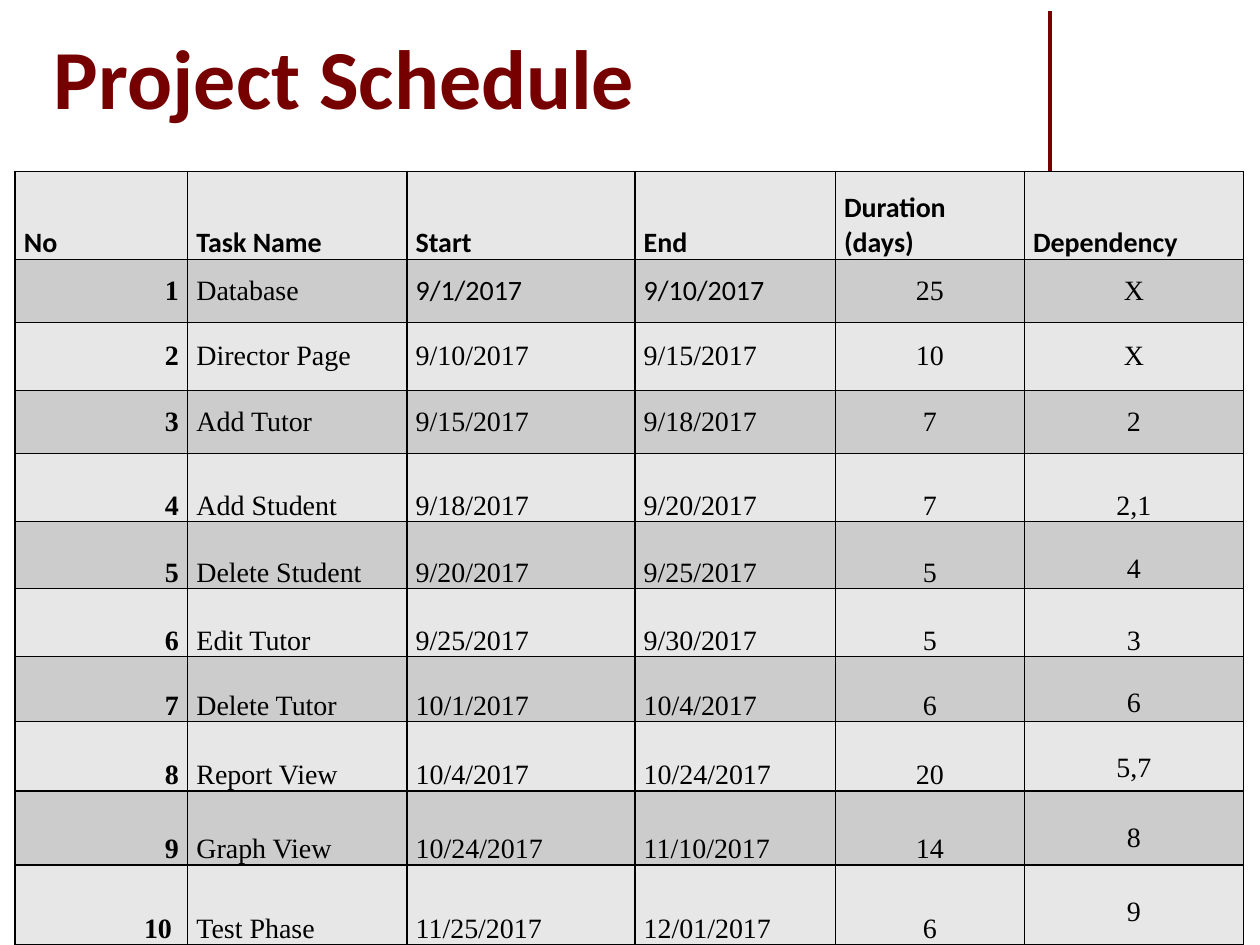
from lxml import etree
from pptx import Presentation
from pptx.dml.color import RGBColor
from pptx.enum.shapes import MSO_CONNECTOR
from pptx.enum.text import MSO_ANCHOR as Anchor, PP_ALIGN as Align
from pptx.oxml import parse_xml
from pptx.oxml.ns import nsdecls, qn
from pptx.util import Inches, Pt

# Content
TITLE = "Project Schedule"
HEADER = ("No", "Task Name", "Start", "End", "Duration (days)", "Dependency")
TASKS = [
    ("1", "Database", "9/1/2017", "9/10/2017", "25", "X"),
    ("2", "Director Page", "9/10/2017", "9/15/2017", "10", "X"),
    ("3", "Add Tutor", "9/15/2017", "9/18/2017", "7", "2"),
    ("4", "Add Student", "9/18/2017", "9/20/2017", "7", "2,1"),
    ("5", "Delete Student", "9/20/2017", "9/25/2017", "5", "4"),
    ("6", "Edit Tutor", "9/25/2017", "9/30/2017", "5", "3"),
    ("7", "Delete Tutor", "10/1/2017", "10/4/2017", "6", "6"),
    ("8", "Report View", "10/4/2017", "10/24/2017", "20", "5,7"),
    ("9", "Graph View", "10/24/2017", "11/10/2017", "14", "8"),
    ("10 ", "Test Phase", "11/25/2017", "12/01/2017", "6", "9"),
]
COLUMN_WIDTHS = (1.37, 1.74, 1.81, 1.59, 1.5, 1.74)
ROW_HEIGHTS = (0.7, 0.5, 0.54, 0.5, 0.54, 0.53, 0.54, 0.51, 0.55, 0.59, 0.63)
ALIGNMENTS = (Align.RIGHT, Align.LEFT, Align.LEFT, Align.LEFT,
              Align.CENTER, Align.CENTER)
MIDDLE_ROWS = (1, 2, 3)
LOWERED_DEPENDENCIES = (5, 7, 8, 9, 10)  # rows set one line below the top
CALIBRI_DATES = {(1, 2), (1, 3)}

MAROON = RGBColor(0x76, 0x00, 0x00)
BLACK = RGBColor(0x00, 0x00, 0x00)
LIGHT = RGBColor(0xE7, 0xE7, 0xE7)
DARK = RGBColor(0xCC, 0xCC, 0xCC)


def set_font(paragraph, name, size, color, bold):
    font = paragraph.font
    font.name, font.size, font.bold = name, Pt(size), bold
    font.color.rgb = color


def add_borders(cell):
    properties = cell._tc.get_or_add_tcPr()
    for index, side in enumerate(("lnL", "lnR", "lnT", "lnB")):
        properties.insert(index, parse_xml(
            f'<a:{side} {nsdecls("a")} w="{Pt(1)}"><a:solidFill>'
            f'<a:srgbClr val="{BLACK}"/></a:solidFill></a:{side}>'))


def style_cell(cell, row, column, text):
    header = row == 0
    cell.margin_left = cell.margin_right = Inches(0.07)
    cell.margin_top = cell.margin_bottom = 0
    cell.vertical_anchor = Anchor.MIDDLE if row in MIDDLE_ROWS else Anchor.BOTTOM
    if column == 5 and row in LOWERED_DEPENDENCIES:
        cell.vertical_anchor = Anchor.TOP
        cell.margin_top = Inches(0.25)
    cell.fill.solid()
    cell.fill.fore_color.rgb = DARK if row % 2 else LIGHT
    add_borders(cell)
    cell.text = text
    para = cell.text_frame.paragraphs[0]
    para.alignment = Align.LEFT if header else ALIGNMENTS[column]
    calibri = header or (row, column) in CALIBRI_DATES
    set_font(para, "Calibri" if calibri else "Times New Roman", 16, BLACK,
             header or column == 0)


deck = Presentation()
deck.slide_width, deck.slide_height = Inches(10), Inches(7.5)
page = deck.slides.add_slide(deck.slide_layouts[6])

# Vertical rule, partly behind the table
rule = page.shapes.add_connector(MSO_CONNECTOR.STRAIGHT, Inches(8.33),
                                 Inches(0.09), Inches(8.33), Inches(1.58))
rule.line.color.rgb = MAROON
rule.line.width = Pt(2.25)
etree.SubElement(rule._element.spPr, qn("a:effectLst"))

# Title
box = page.shapes.add_textbox(Inches(0.33), Inches(0.17), Inches(8.17), Inches(0.88))
frame = box.text_frame
frame.word_wrap = True
frame.vertical_anchor = Anchor.BOTTOM
frame.text = TITLE
set_font(frame.paragraphs[0], "Calibri", 48, MAROON, True)

# Schedule table
rows = [HEADER] + TASKS
table = page.shapes.add_table(len(rows), len(HEADER), Inches(0.12), Inches(1.36),
                              Inches(sum(COLUMN_WIDTHS)),
                              Inches(sum(ROW_HEIGHTS))).table
for column, width in zip(table.columns, COLUMN_WIDTHS):
    column.width = Inches(width)
for row, height in zip(table.rows, ROW_HEIGHTS):
    row.height = Inches(height)
for r, values in enumerate(rows):
    for c, text in enumerate(values):
        style_cell(table.cell(r, c), r, c, text)

deck.save("out.pptx")
